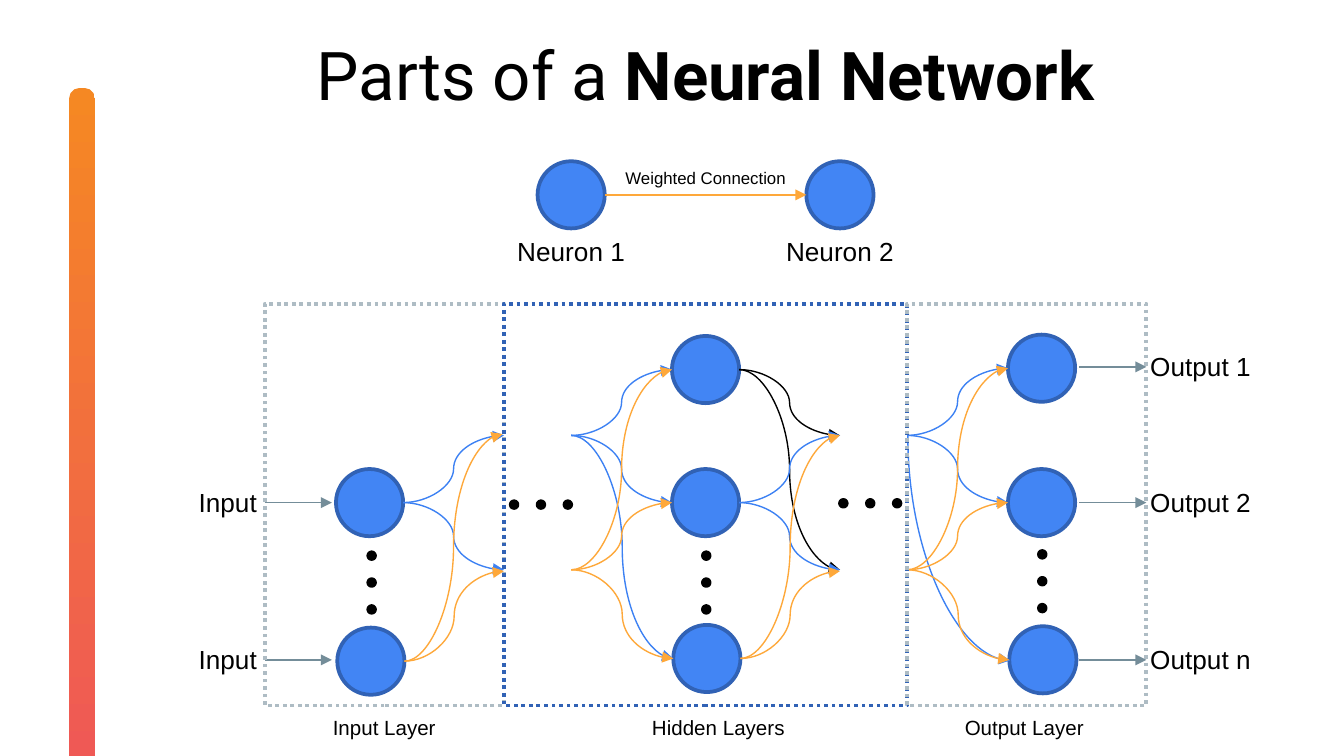
import pptx
import pptx.dml.color
import pptx.enum.dml
import pptx.enum.shapes
import pptx.enum.text
import pptx.oxml.ns
import pptx.util
from lxml import etree

PX = 9144  # EMU per px, 100 px to the inch
COLORS = {
    "black": "000000", "neuron": "4285F4", "navy": "3162B5",
    "blue": "3C81F3", "orange": "FEA83A", "slate": "748D99",
    "mist": "AEBCC4", "bar_top": "F58823", "bar_bottom": "EF5757",
}
SHAPE = pptx.enum.shapes.MSO_SHAPE
CONNECTOR = pptx.enum.shapes.MSO_CONNECTOR
ALIGN = pptx.enum.text.PP_ALIGN
ANCHOR = pptx.enum.text.MSO_ANCHOR
AUTO_SIZE = pptx.enum.text.MSO_AUTO_SIZE


def rgb(name):
    return pptx.dml.color.RGBColor.from_string(COLORS[name])


def set_format(target, values):
    for attribute, value in values.items():
        setattr(target, attribute, value)


# Widescreen slide, 16:9
deck = pptx.Presentation()
set_format(deck, {"slide_width": 1000 * PX, "slide_height": 1000 * PX * 9 // 16})
slide = deck.slides.add_slide(deck.slide_layouts[5])
shapes = slide.shapes

# Title
title = shapes.title
set_format(title, {"left": 75 * PX, "top": 25 * PX, "width": 900 * PX, "height": 75 * PX})
set_format(title.text_frame, {
    "margin_left": 0, "margin_right": 0, "margin_top": 0, "margin_bottom": 0,
    "word_wrap": True, "auto_size": AUTO_SIZE.NONE, "vertical_anchor": ANCHOR.TOP,
})
heading = title.text_frame.paragraphs[0]
heading.alignment = ALIGN.CENTER
for words, bold in (("Parts of a ", False), ("Neural Network", True)):
    run = heading.add_run()
    run.text = words
    set_format(run.font, {"name": "Roboto", "size": pptx.util.Pt(36), "bold": bold})
    run.font.color.rgb = rgb("black")

# Gradient bar, running off the bottom edge
bar = shapes.add_shape(SHAPE.ROUNDED_RECTANGLE, -198 * PX, 315 * PX, 518 * PX, 19 * PX)
bar.rotation = 90
bar.adjustments[0] = 0.39
bar.shadow.inherit = False
bar.line.fill.background()
bar.fill.gradient()
bar.fill.gradient_angle = 0
for stop, name, position in zip(bar.fill.gradient_stops, ("bar_top", "bar_bottom"), (0, 1)):
    stop.color.rgb = rgb(name)
    stop.position = position

# Neurons and the dots that stand for further ones: left, top, size, fill, line
circles = [(x, y, 50, "neuron", "navy") for x, y in (
    (400, 120), (600, 120),
    (250, 349), (251, 467),
    (500, 250), (500, 349), (501, 465),
    (750, 249), (750, 349), (751, 466),
)]
for x, y, step_x, step_y in (
    (274, 411, 0, 20), (523, 411, 0, 20), (773, 410, 0, 20),
    (380, 373, 20, 0), (625, 372, 20, 0),
):
    circles += [(x + i * step_x, y + i * step_y, 5, "black", "black") for i in range(3)]
for x, y, size, fill, line in circles:
    circle = shapes.add_shape(SHAPE.OVAL, x * PX, y * PX, size * PX, size * PX)
    circle.shadow.inherit = False
    circle.fill.solid()
    circle.fill.fore_color.rgb = rgb(fill)
    circle.line.color.rgb = rgb(line)
    circle.line.width = pptx.util.Pt(2)

# Arrows: straight ones first, then the weighted connections between layers
arrows = [(CONNECTOR.STRAIGHT, "orange", 450, 145, 600, 145)]
for x, rows in ((197, (374, 491)), (803, (273, 374, 491))):
    arrows += [(CONNECTOR.STRAIGHT, "slate", x, y, x + 50, y) for y in rows]
# The single-bend arrow is laid flat here and turned upright below
single_bend = (CONNECTOR.CURVE, "blue", 797, 370, 630, 446)
arrows.append(single_bend)
connections = (
    # start, colour, ends
    ((300, 374), "blue", ((375, 324), (375, 424))),
    ((425, 324), "blue", ((500, 275), (500, 374), (501, 490))),
    ((425, 424), "orange", ((500, 374), (500, 275), (501, 490))),
    ((550, 275), "black", ((625, 324), (625, 424))),
    ((550, 374), "blue", ((625, 324), (625, 424))),
    ((551, 490), "orange", ((625, 324), (625, 425))),
    ((675, 324), "blue", ((750, 274), (750, 374))),
    ((675, 424), "orange", ((750, 274), (750, 374), (751, 491))),
    ((301, 492), "orange", ((374, 323), (375, 425))),
)
for start, color, ends in connections:
    arrows += [(CONNECTOR.CURVE, color, *start, *end) for end in ends]
for arrow in arrows:
    kind, color, *ends = arrow
    connector = shapes.add_connector(kind, *(value * PX for value in ends))
    connector.line.color.rgb = rgb(color)
    connector.line.width = pptx.util.Pt(0.75)
    properties = connector._element.spPr
    etree.SubElement(connector.line._get_or_add_ln(), pptx.oxml.ns.qn("a:tailEnd"), type="triangle")
    etree.SubElement(properties, pptx.oxml.ns.qn("a:effectLst"))
    if arrow is single_bend:
        properties.find(pptx.oxml.ns.qn("a:xfrm")).set("rot", str(270 * 60000))
        properties.find(pptx.oxml.ns.qn("a:prstGeom")).set("prst", "curvedConnector2")

# Dotted frames around the layers
for x, width, color in ((197, 178, "mist"), (375, 300, "navy"), (675, 178, "mist")):
    frame = shapes.add_shape(SHAPE.RECTANGLE, x * PX, 226 * PX, width * PX, 299 * PX)
    frame.shadow.inherit = False
    frame.fill.background()
    frame.line.color.rgb = rgb(color)
    set_format(frame.line, {
        "width": pptx.util.Pt(2), "dash_style": pptx.enum.dml.MSO_LINE.ROUND_DOT,
    })

# Labels: text, left, top, width, height, size, alignment
labels = (
    ("Neuron 1", 375, 170, 100, 34, 14, ALIGN.CENTER),
    ("Neuron 2", 575, 170, 100, 34, 14, ALIGN.CENTER),
    ("Weighted Connection", 450, 120, 150, 25, 9, ALIGN.CENTER),
    ("Input", 138, 357, 77, 34, 14, ALIGN.LEFT),
    ("Input", 138, 474, 77, 34, 14, ALIGN.LEFT),
    ("Output 1", 846, 256, 95, 34, 14, ALIGN.LEFT),
    ("Output 2", 846, 357, 95, 34, 14, ALIGN.LEFT),
    ("Output n", 846, 474, 95, 34, 14, ALIGN.LEFT),
    ("Input Layer", 233, 527, 106, 29, 11, ALIGN.CENTER),
    ("Hidden Layers", 384, 527, 301, 29, 11, ALIGN.CENTER),
    ("Output Layer", 708, 527, 112, 29, 11, ALIGN.LEFT),
)
for words, x, y, width, height, size, alignment in labels:
    label = shapes.add_textbox(x * PX, y * PX, width * PX, height * PX)
    set_format(label.text_frame, {
        "text": words, "word_wrap": True, "auto_size": AUTO_SIZE.SHAPE_TO_FIT_TEXT,
    })
    paragraph = label.text_frame.paragraphs[0]
    paragraph.alignment = alignment
    set_format(paragraph.runs[0].font, {"name": "Arial", "size": pptx.util.Pt(size)})
    paragraph.runs[0].font.color.rgb = rgb("black")

deck.save("out.pptx")
